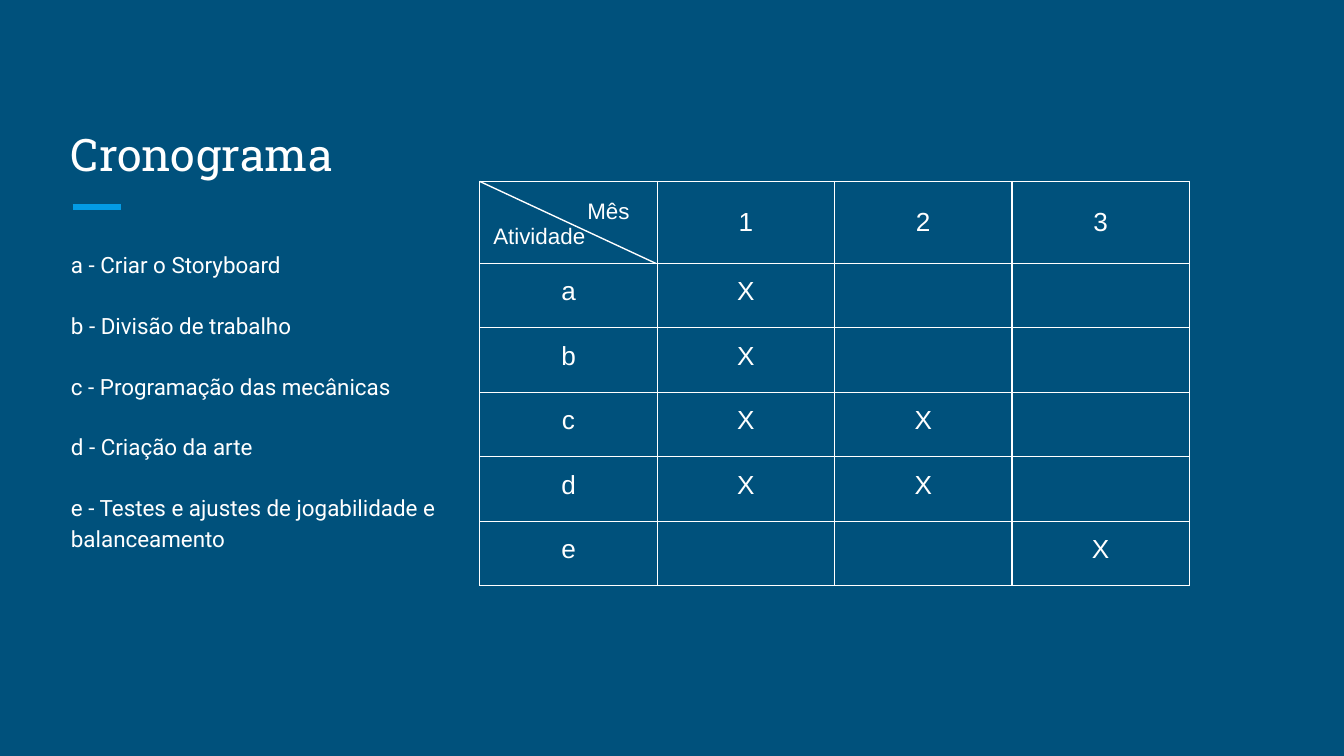
from dataclasses import dataclass

from lxml.etree import SubElement
from pptx import Presentation
from pptx.dml.color import RGBColor
from pptx.enum.shapes import MSO_CONNECTOR as Connector
from pptx.enum.text import MSO_ANCHOR as Anchor, PP_ALIGN as Align
from pptx.oxml.ns import qn
from pptx.util import Inches, Pt

NAVY = RGBColor(0x00, 0x51, 0x7C)
SKY = RGBColor(0x03, 0x9B, 0xE5)
WHITE = RGBColor(0xFF, 0xFF, 0xFF)

SLIDE_WIDTH = 10
SLIDE_HEIGHT = SLIDE_WIDTH * 9 / 16
TEXT_LEFT, TEXT_WIDTH = 0.43, 3.07
TABLE_LEFT, TABLE_TOP = 3.57, 1.35
COLUMN_WIDTH, HEADER_HEIGHT, ROW_HEIGHT = 1.32, 0.61, 0.48
BORDER = 0.75
MONTHS = 3


@dataclass
class Activity:
    key: str
    name: str
    months: tuple[int, ...]


@dataclass
class Rule:
    start: tuple[float, float]
    end: tuple[float, float]
    color: RGBColor
    weight: float


ACTIVITIES = [
    Activity("a", "Criar o Storyboard", (1,)),
    Activity("b", "Divisão de trabalho", (1,)),
    Activity("c", "Programação das mecânicas", (1, 2)),
    Activity("d", "Criação da arte", (1, 2)),
    Activity("e", "Testes e ajustes de jogabilidade e balanceamento", (3,)),
]
RULES = [
    Rule((0.54, 1.54), (0.9, 1.54), SKY, 3),
    Rule((TABLE_LEFT, TABLE_TOP), (4.88, 1.96), WHITE, BORDER),
]


def apply(target, formats: dict) -> None:
    for name, value in formats.items():
        setattr(target, name, value)


def write(frame, lines: list[str], font: str, size: float, **paragraph_format) -> None:
    for index, line in enumerate(lines):
        paragraph = frame.paragraphs[0] if index == 0 else frame.add_paragraph()
        apply(paragraph, paragraph_format)
        run = paragraph.add_run()
        run.text = line
        apply(run.font, {"name": font, "size": Pt(size)})
        run.font.color.rgb = WHITE


def add_frame(slide, top: float, height: float, anchor):
    box = slide.shapes.add_textbox(
        Inches(TEXT_LEFT), Inches(top), Inches(TEXT_WIDTH), Inches(height))
    margins = {f"margin_{side}": Inches(0.1) for side in ("left", "right", "top", "bottom")}
    apply(box.text_frame, {"word_wrap": True, "vertical_anchor": anchor, **margins})
    return box.text_frame


def add_rule(slide, rule: Rule) -> None:
    points = [Inches(value) for value in (*rule.start, *rule.end)]
    line = slide.shapes.add_connector(Connector.STRAIGHT, *points)
    line.line.color.rgb = rule.color
    line.line.width = Pt(rule.weight)
    SubElement(line._element.spPr, qn("a:effectLst"))


def style_cell(cell) -> None:
    # Smaller bottom margin keeps empty rows at the set height
    apply(cell, {"margin_top": Inches(0.1), "margin_bottom": Inches(0.05)})
    properties = cell._tc.get_or_add_tcPr()
    for side in ("lnL", "lnR", "lnT", "lnB"):
        border = SubElement(properties, qn(f"a:{side}"), w=str(Pt(BORDER)))
        fill = SubElement(border, qn("a:solidFill"))
        SubElement(fill, qn("a:srgbClr"), val=str(WHITE))
    cell.fill.background()


def add_schedule(slide) -> None:
    rows, columns = len(ACTIVITIES) + 1, MONTHS + 1
    heights = [HEADER_HEIGHT] + [ROW_HEIGHT] * len(ACTIVITIES)
    schedule = slide.shapes.add_table(
        rows, columns, Inches(TABLE_LEFT), Inches(TABLE_TOP),
        Inches(COLUMN_WIDTH * columns), Inches(sum(heights))).table
    apply(schedule, {"first_row": False, "horz_banding": False})
    for column in schedule.columns:
        column.width = Inches(COLUMN_WIDTH)
    for row, height in zip(schedule.rows, heights):
        row.height = Inches(height)
    for cell in schedule.iter_cells():
        style_cell(cell)

    # Corner cell, split by the diagonal
    corner = schedule.cell(0, 0)
    corner.margin_top = Inches(0.13)
    write(corner.text_frame, ["Mês", "Atividade"], "Arial", 12)
    corner.text_frame.paragraphs[0]._p.get_or_add_pPr().set("marL", str(Inches(0.7)))

    # Month headings and marks
    for month in range(1, columns):
        heading = schedule.cell(0, month)
        apply(heading, {"vertical_anchor": Anchor.MIDDLE, "margin_bottom": Inches(0.1)})
        write(heading.text_frame, [str(month)], "Arial", 14, alignment=Align.CENTER)
    for row, activity in enumerate(ACTIVITIES, start=1):
        marks = {0: activity.key, **{month: "X" for month in activity.months}}
        for column, mark in marks.items():
            write(schedule.cell(row, column).text_frame, [mark], "Arial", 14,
                  alignment=Align.CENTER)


def main() -> None:
    deck = Presentation()
    apply(deck, {"slide_width": Inches(SLIDE_WIDTH), "slide_height": Inches(SLIDE_HEIGHT)})
    slide = deck.slides.add_slide(deck.slide_layouts[6])
    slide.background.fill.solid()
    slide.background.fill.fore_color.rgb = NAVY

    # Title and list of activities
    title = add_frame(slide, 0.61, 0.83, Anchor.BOTTOM)
    write(title, ["Cronograma"], "Roboto Slab", 24)
    legend = add_frame(slide, 1.74, 2.93, Anchor.TOP)
    write(legend, [f"{activity.key} - {activity.name}" for activity in ACTIVITIES],
          "Roboto", 12, line_spacing=1.15, space_after=Pt(16))

    # Schedule, title accent and corner diagonal
    add_schedule(slide)
    for rule in RULES:
        add_rule(slide, rule)
    deck.save("out.pptx")


if __name__ == "__main__":
    main()
